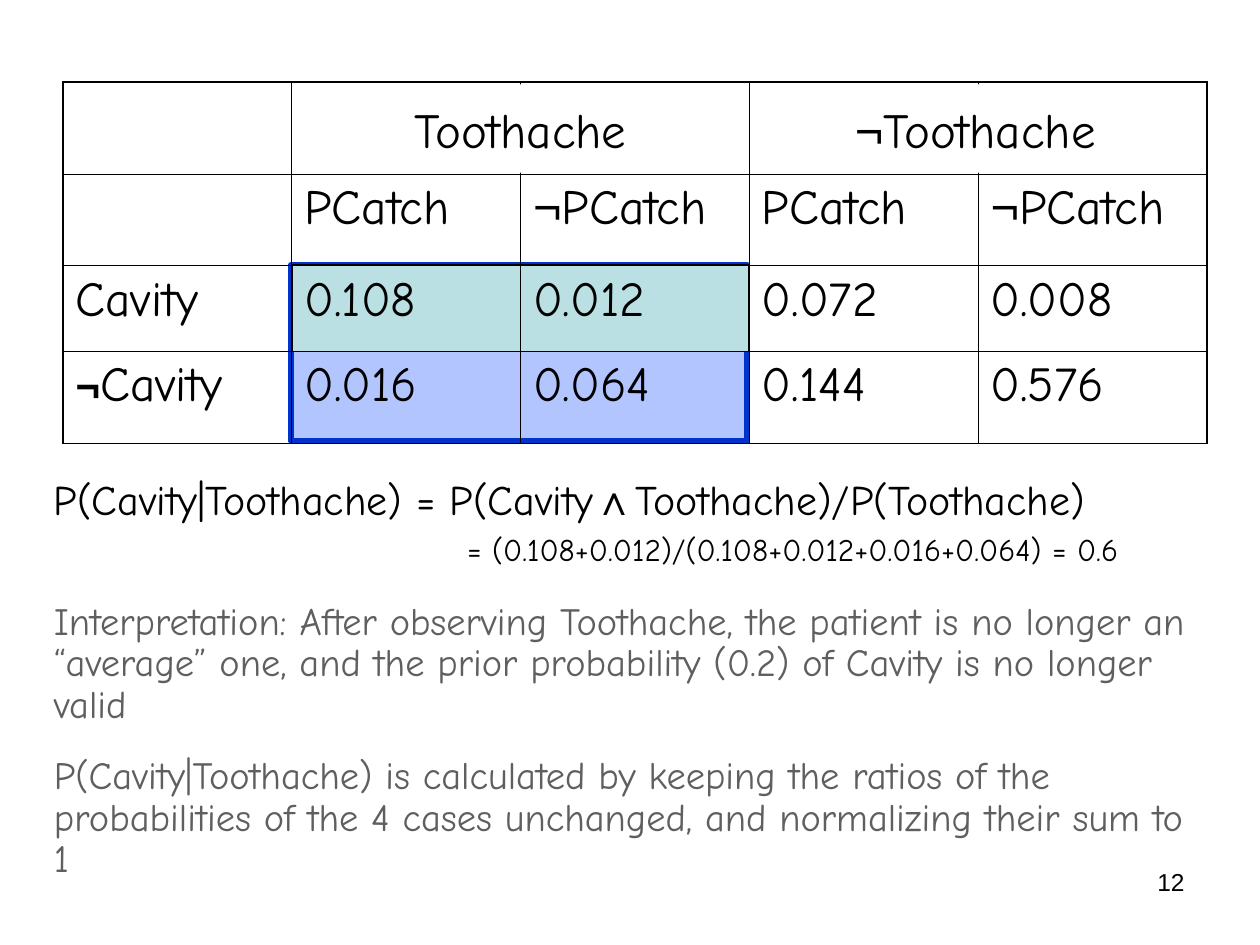
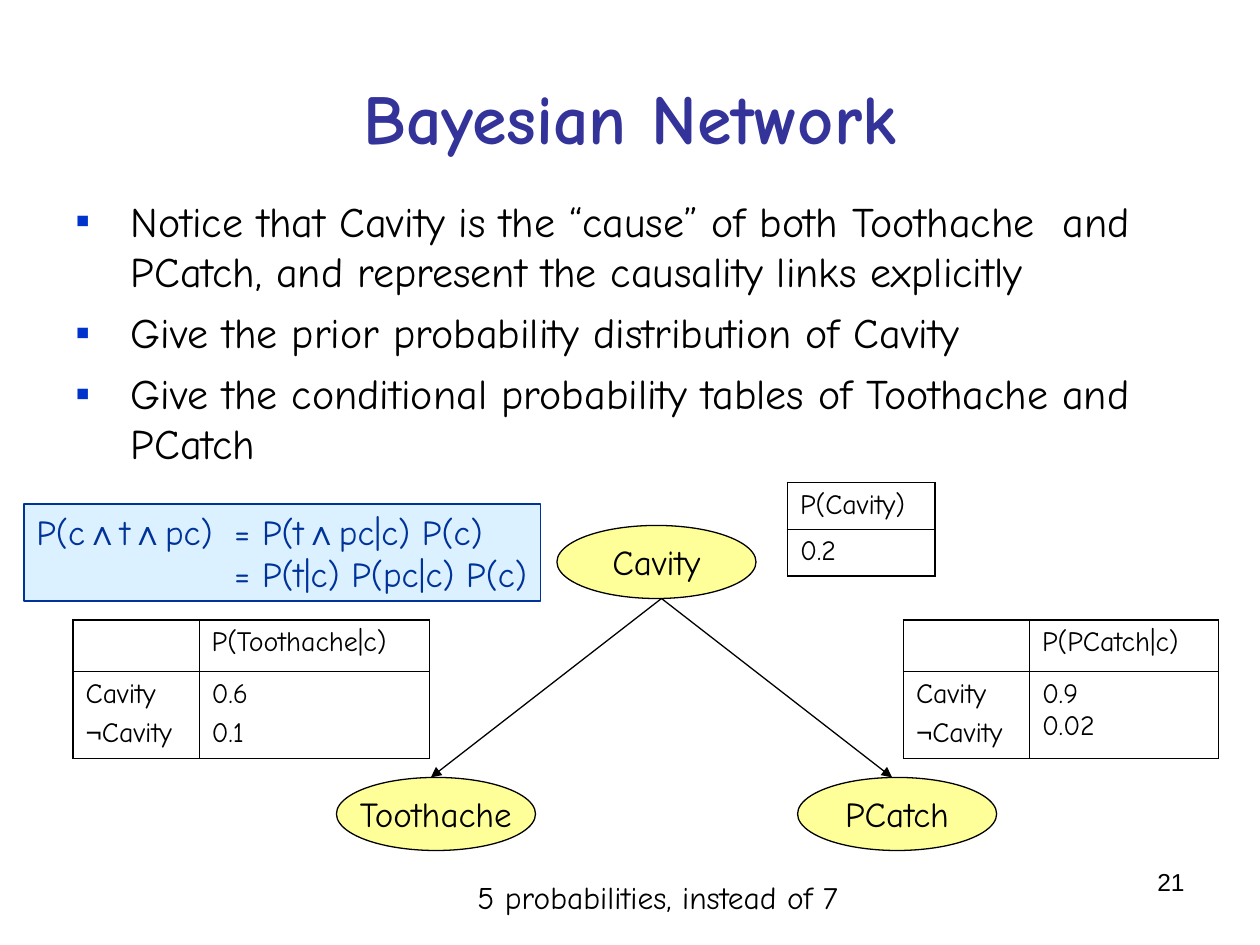
from itertools import groupby

from lxml import etree
from pptx import Presentation
from pptx import util as u
from pptx.dml.color import RGBColor
from pptx.enum import shapes, text
from pptx.oxml.ns import qn

COLORS = {
    "black": "000000",
    "white": "FFFFFF",
    "grey": "5F5F5F",
    "title": "333399",
    "bullet": "0033CC",
    "not_cavity": "B3C5FF",
    "cavity": "BBE0E3",
    "node": "FFFF99",
    "formula": "DBF1FF",
    "formula_ink": "003399",
}
RGB = {name: RGBColor.from_string(value) for name, value in COLORS.items()}
BODY_FONT, SYMBOL_FONT = "Comic Neue", "Arial"
CENTER, RIGHT = text.PP_ALIGN.CENTER, text.PP_ALIGN.RIGHT
RECT, OVAL = shapes.MSO_SHAPE.RECTANGLE, shapes.MSO_SHAPE.OVAL


def write(frame, lines, size, color="black", before=0, align=None, font=BODY_FONT, bold=False):
    for index, line in enumerate(lines):
        paragraph = frame.add_paragraph() if index else frame.paragraphs[0]
        paragraph.alignment = align
        if index and before:
            paragraph.space_before = u.Pt(before)
        for mark, letters in groupby(line, lambda c: c if c in "¬∧\v" else ""):
            if mark == "\v":
                paragraph.add_line_break()
                continue
            run = paragraph.add_run()
            run.text = "".join(letters)
            run.font.name = SYMBOL_FONT if mark else font
            run.font.size = u.Pt(size)
            run.font.bold = bold or mark == "∧"
            run.font.color.rgb = RGB[color]


def box(slide, kind, place, fill=None, line=None, width=0.75):
    place = [u.Inches(v) for v in place]
    if kind is None:
        shape = slide.shapes.add_textbox(*place)
    else:
        shape = slide.shapes.add_shape(kind, *place)
        shape.shadow.inherit = False
        shape.fill.solid()
        shape.fill.fore_color.rgb = RGB[fill]
        if line:
            shape.line.color.rgb = RGB[line]
            shape.line.width = u.Pt(width)
        else:
            shape.line.fill.background()
    shape.text_frame.word_wrap = kind is None
    return shape.text_frame


deck = Presentation()
deck.slide_width, deck.slide_height = u.Inches(10), u.Inches(7.5)
joint = deck.slides.add_slide(deck.slide_layouts[6])
network = deck.slides.add_slide(deck.slide_layouts[5])

for slide, number in ((joint, "12"), (network, "21")):
    write(box(slide, None, (7.17, 6.83, 2.33, 0.52)), [number], 14, align=RIGHT, font=SYMBOL_FONT)

box(joint, RECT, (2.31, 2.1, 3.62, 1.4), "not_cavity", "bullet", 3)
box(joint, RECT, (2.32, 2.1, 3.62, 0.69), "cavity", "black")

row_names = "Cavity\n¬Cavity"
grids = [
    (joint, 0.5, 0.65, [9.08 / 5] * 5, [0.73, 0.73, 0.68, 0.73], 28, [
        ["", "", "", "", ""],
        ["", "PCatch", "¬PCatch", "PCatch", "¬PCatch"],
        ["Cavity", "0.108", "0.012", "0.072", "0.008"],
        ["¬Cavity", "0.016", "0.064", "0.144", "0.576"],
    ]),
    (network, 6.25, 3.83, [1.17], [0.37, 0.37], 16, [["P(Cavity)"], ["0.2"]]),
    (network, 0.58, 4.92, [1, 1.83], [0.41, 0.69], 16,
     [["", "P(Toothache|c)"], [row_names, "0.6\n0.1"]]),
    (network, 7.17, 4.92, [1, 1.5], [0.41, 0.69], 16,
     [["", "P(PCatch|c)"], [row_names, "0.9\v0.02"]]),
]
tables = []
for slide, left, top, widths, heights, size, rows in grids:
    extent = [u.Inches(v) for v in (left, top, sum(widths), sum(heights))]
    table = slide.shapes.add_table(len(rows), len(widths), *extent).table
    table.first_row = table.horz_banding = False
    tables.append(table)
    for column, width in zip(table.columns, widths):
        column.width = u.Inches(width)
    for r, (row, height) in enumerate(zip(rows, heights)):
        table.rows[r].height = u.Inches(height)
        for c, content in enumerate(row):
            cell = table.cell(r, c)
            write(cell.text_frame, content.split("\n"), size, before=4)
            outer = {
                "lnL": c == 0,
                "lnR": c == len(widths) - 1,
                "lnT": r == 0,
                "lnB": r == len(rows) - 1,
            }
            properties = cell._tc.get_or_add_tcPr()
            for side, on_edge in outer.items():
                border = etree.SubElement(properties, qn(f"a:{side}"), w=str(u.Pt(1.08 if on_edge else 0.45)))
                ink = etree.SubElement(border, qn("a:solidFill"))
                etree.SubElement(ink, qn("a:srgbClr"), val=COLORS["black"])
            cell.fill.background()

not_sign = tables[0].cell(3, 0).text_frame.paragraphs[0].runs[0].font
not_sign.size, not_sign.bold = u.Pt(24), True

for heading, left, width in (("Toothache", 2.42, 3.42), ("¬Toothache", 6.02, 3.44)):
    write(box(joint, RECT, (left, 0.67, width, 0.7), "white"), [heading], 28, align=CENTER)

reasoning = box(joint, None, (0.33, 3.75, 9.33, 3.58))
write(reasoning, [
    "P(Cavity|Toothache) = P(Cavity∧Toothache)/P(Toothache)",
    "= (0.108+0.012)/(0.108+0.012+0.016+0.064) = 0.6",
    "Interpretation: After observing Toothache, the patient is no longer an “average” one, "
    "and the prior probability (0.2) of Cavity is no longer valid",
    "P(Cavity|Toothache) is calculated by keeping the ratios of the probabilities of the 4 cases "
    "unchanged, and normalizing their sum to 1",
], 22, "grey")
formats = [(24, "black", 0), (18, "black", 6), (22, "grey", 19), (22, "grey", 17)]
for paragraph, (size, color, gap) in zip(reasoning.paragraphs, formats):
    paragraph.line_spacing = 0.9
    paragraph.space_before = u.Pt(gap)
    for run in paragraph.runs:
        run.font.size = u.Pt(size)
        run.font.color.rgb = RGB[color]
reasoning.paragraphs[1]._p.get_or_add_pPr().set("marL", str(u.Inches(3.28)))

title = network.shapes.title
title.left, title.top, title.width, title.height = [u.Inches(v) for v in (0.5, 0.3, 9, 1.25)]
title.text_frame.vertical_anchor = text.MSO_ANCHOR.MIDDLE
write(title.text_frame, ["Bayesian Network"], 40, "title", align=CENTER, bold=True)

steps = box(network, None, (0.5, 1.5, 9.17, 2.4))
write(steps, [
    "Notice that Cavity is the “cause” of both Toothache  and PCatch, "
    "and represent the causality links explicitly",
    "Give the prior probability distribution of Cavity",
    "Give the conditional probability tables of Toothache and PCatch",
], 24, before=6)
for paragraph in steps.paragraphs:
    properties = paragraph._p.get_or_add_pPr()
    properties.set("marL", str(u.Inches(0.44)))
    properties.set("indent", str(u.Inches(-0.44)))
    bullet_color = etree.SubElement(properties, qn("a:buClr"))
    etree.SubElement(bullet_color, qn("a:srgbClr"), val=COLORS["bullet"])
    etree.SubElement(properties, qn("a:buFont"), typeface=SYMBOL_FONT)
    etree.SubElement(properties, qn("a:buChar"), char="▪")

for node, left, top in (("Cavity", 4.42, 4.17), ("Toothache", 2.67, 6.17), ("PCatch", 6.33, 6.17)):
    write(box(network, OVAL, (left, top, 1.58, 0.58), "node", "black"), [node], 20, align=CENTER)

for effect_x in (3.42, 7.08):
    ends = [u.Inches(v) for v in (5.25, 4.75, effect_x, 6.17)]
    link = network.shapes.add_connector(shapes.MSO_CONNECTOR.STRAIGHT, *ends)
    link.line.color.rgb = RGB["black"]
    link.line.width = u.Pt(0.75)
    properties = link._element.spPr
    etree.SubElement(properties.find(qn("a:ln")), qn("a:tailEnd"), type="triangle")
    etree.SubElement(properties, qn("a:effectLst"))

caption = box(network, None, (3.69, 6.92, 3.07, 0.4))
caption.word_wrap = False
write(caption, ["5 probabilities, instead of 7"], 18)

factoring = box(network, RECT, (0.19, 4, 4.1, 0.77), "formula", "formula_ink")
factoring.word_wrap = True
factoring.margin_right = 0
factoring.vertical_anchor = text.MSO_ANCHOR.TOP
write(factoring, ["P(c∧t∧pc)\t= P(t∧pc|c) P(c)", "\t= P(t|c) P(pc|c) P(c)"], 20, "formula_ink",
      align=text.PP_ALIGN.LEFT)
for paragraph in factoring.paragraphs:
    stops = etree.SubElement(paragraph._p.get_or_add_pPr(), qn("a:tabLst"))
    etree.SubElement(stops, qn("a:tab"), pos=str(u.Inches(1.57)), algn="l")

deck.save("out.pptx")
